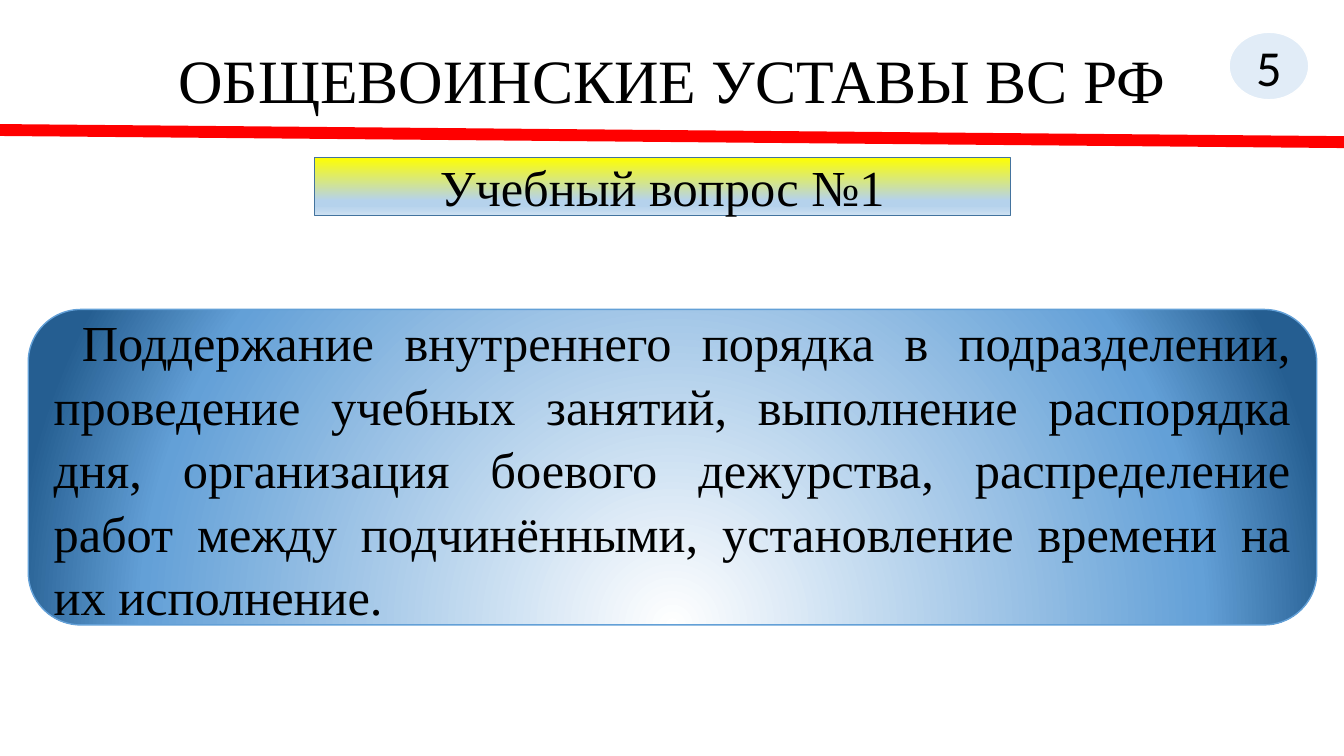
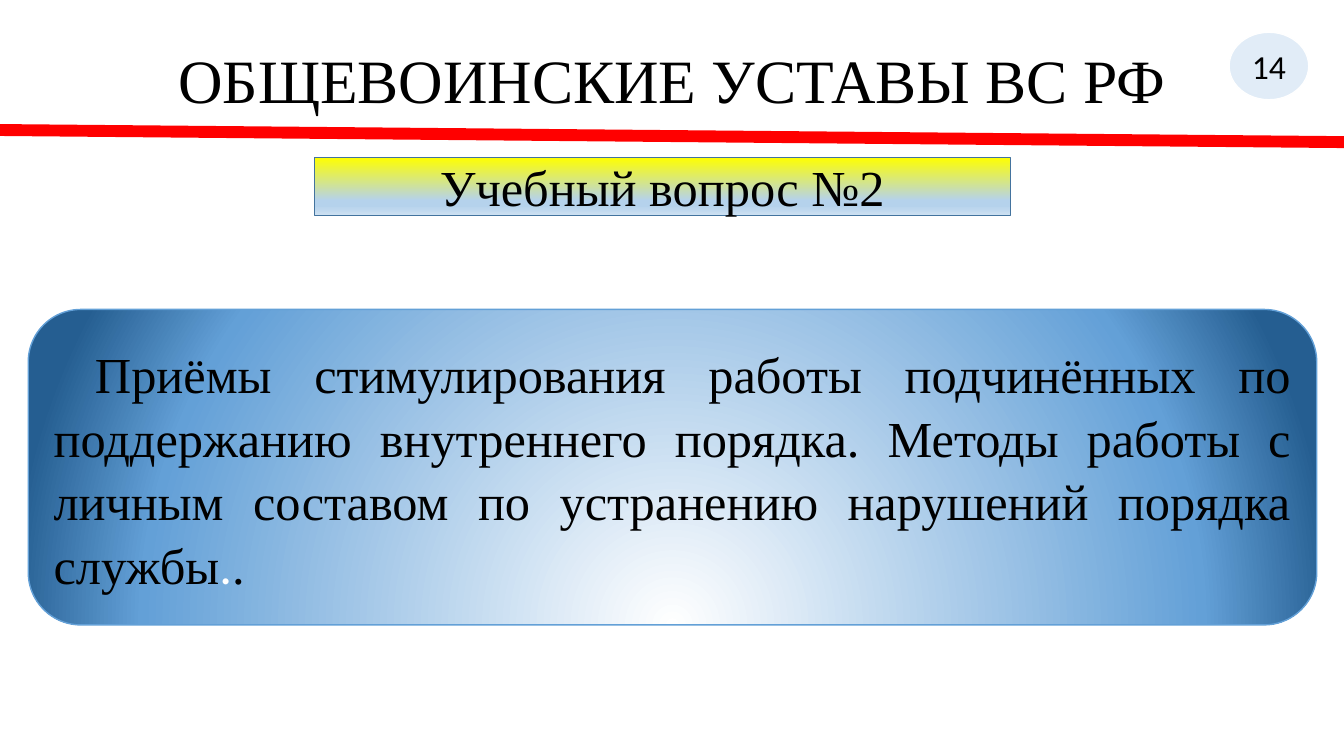
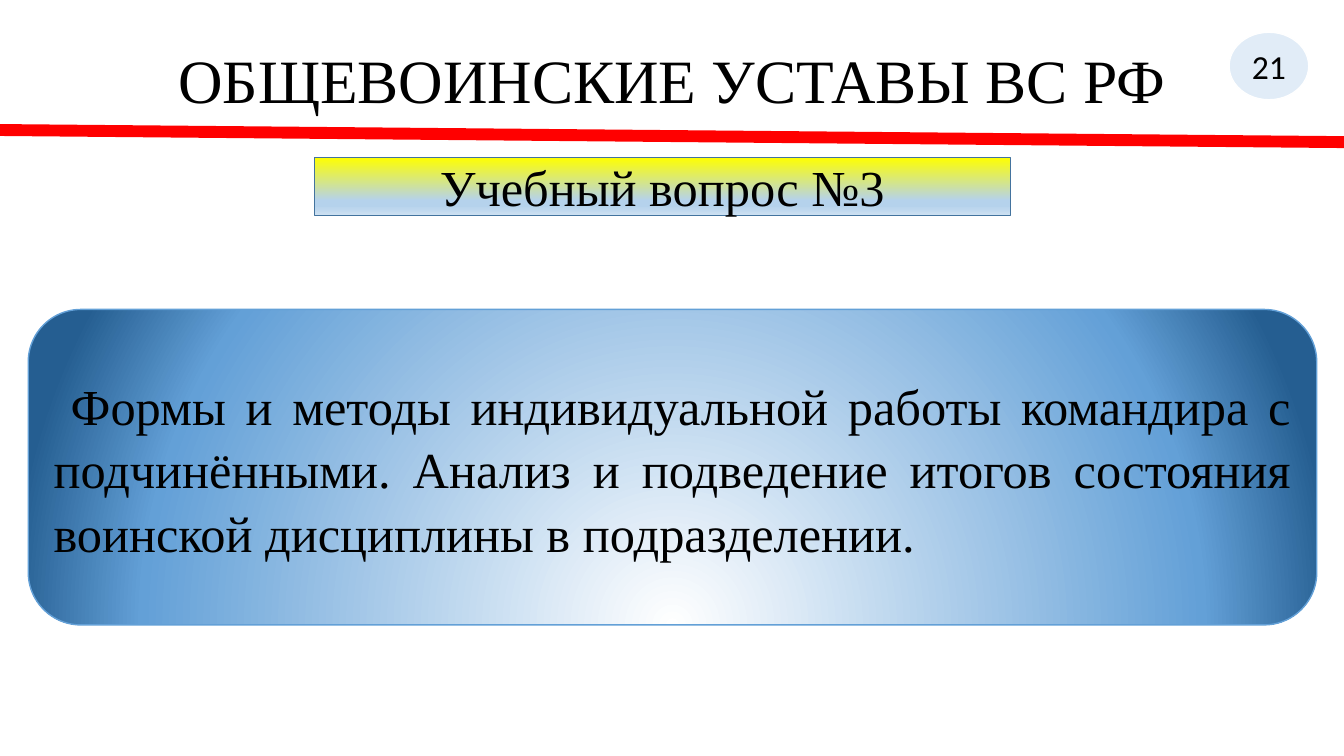
import pptx
import pptx.dml.color
import pptx.enum.shapes
import pptx.enum.text
import pptx.oxml
import pptx.oxml.ns
import pptx.util
from pptx.util import Inches

COLORS = {
    "ink": "000000",
    "white": "FFFFFF",
    "rule": "FF0000",
    "badge": "5B9BD5",
    "banner_top": "FFFF00",
    "banner_middle": "B5D2EC",
    "banner_bottom": "CEE1F2",
    "banner_edge": "43739E",
    "panel_middle": "63A0D7",
    "panel_outer": "255E91",
}
SERIF = "Times New Roman"
SANS = "Calibri"
SHAPES = pptx.enum.shapes.MSO_SHAPE
ALIGN = pptx.enum.text.PP_ALIGN
ANCHOR = pptx.enum.text.MSO_ANCHOR
HEADING = "ОБЩЕВОИНСКИЕ УСТАВЫ ВС РФ"
BANNER_STOPS = [(0, "banner_top"), (74, "banner_middle"), (83, "banner_middle"), (100, "banner_bottom")]
PANEL_STOPS = [(0, "white"), (80, "panel_middle"), (100, "panel_outer")]
LINEAR_DOWN = '<a:lin {} ang="5400000" scaled="0"/>'
CIRCLE_FROM_BELOW = '<a:path {} path="circle"><a:fillToRect l="50000" t="130000" r="50000" b="-30000"/></a:path>'

QUESTIONS = [
    {
        "page": "5", "page_size": 36, "indent": 0.28,
        "pieces": [("Поддержание внутреннего порядка в подразделении, проведение учебных занятий, "
                    "выполнение распорядка дня, организация боевого дежурства, распределение работ "
                    "между подчинёнными, установление времени на их исполнение.", SERIF, "ink")],
    },
    {
        "page": "14", "page_size": 24, "indent": 0.41,
        "pieces": [("Приёмы стимулирования работы подчинённых по поддержанию внутреннего порядка. "
                    "Методы работы с личным составом по устранению нарушений порядка службы", SERIF, "ink"),
                   (".", SANS, "white"),
                   (".", SERIF, "ink")],
    },
    {
        "page": "21", "page_size": 24, "indent": 0.17,
        "pieces": [("Формы и методы индивидуальной работы командира с подчинёнными. Анализ и "
                    "подведение итогов состояния воинской дисциплины в подразделении.", SERIF, "ink")],
    },
]


def rgb(name):
    return pptx.dml.color.RGBColor.from_string(COLORS[name])


def element(xml):
    return pptx.oxml.parse_xml(xml.format(pptx.oxml.ns.nsdecls("a")))


class Deck:
    def __init__(self):
        self.presentation = pptx.Presentation()
        self.presentation.slide_width = Inches(13.33)
        self.presentation.slide_height = Inches(7.5)
        self.slide = None

    def start_slide(self):
        self.slide = self.presentation.slides.add_slide(self.presentation.slide_layouts[5])

    def style_run(self, run, size, font=SERIF, color="ink"):
        run.font.size = pptx.util.Pt(size)
        run.font.name = font
        run.font.color.rgb = rgb(color)

    def title(self, text):
        heading = self.slide.shapes.title
        heading.left, heading.top = Inches(0.92), Inches(0.4)
        heading.width, heading.height = Inches(11.5), Inches(1.45)
        frame = heading.text_frame
        frame.text = text
        frame.word_wrap = True
        frame.auto_size = pptx.enum.text.MSO_AUTO_SIZE.NONE
        frame.vertical_anchor = ANCHOR.TOP
        frame.margin_top = Inches(0.1)
        paragraph = frame.paragraphs[0]
        paragraph.alignment = ALIGN.CENTER
        paragraph.line_spacing = 0.9
        self.style_run(paragraph.runs[0], 44)

    def rule(self):
        rule = self.slide.shapes.add_connector(
            pptx.enum.shapes.MSO_CONNECTOR.STRAIGHT,
            Inches(0), Inches(1.29), Inches(13.33), Inches(1.41))
        rule.line.color.rgb = rgb("rule")
        rule.line.width = pptx.util.Pt(8.5)
        rule._element.spPr.append(element("<a:effectLst {}/>"))

    def shape(self, kind, left, top, width, height, edge):
        shape = self.slide.shapes.add_shape(
            kind, Inches(left), Inches(top), Inches(width), Inches(height))
        shape.shadow.inherit = False
        shape.line.color.rgb = rgb(edge)
        shape.line.width = pptx.util.Pt(1)
        shape.text_frame.word_wrap = True
        shape.text_frame.vertical_anchor = ANCHOR.MIDDLE
        return shape

    def gradient(self, shape, stops, direction):
        shape.fill.gradient()
        gradient = shape._element.spPr.find(pptx.oxml.ns.qn("a:gradFill"))
        for child in list(gradient):
            gradient.remove(child)
        marks = "".join(
            f'<a:gs pos="{position * 1000}"><a:srgbClr val="{COLORS[name]}"/></a:gs>'
            for position, name in stops)
        gradient.append(element("<a:gsLst {}>" + marks + "</a:gsLst>"))
        gradient.append(element(direction))

    def label(self, shape, text, size, font):
        shape.text_frame.text = text
        paragraph = shape.text_frame.paragraphs[0]
        paragraph.alignment = ALIGN.CENTER
        self.style_run(paragraph.runs[0], size, font)

    def badge(self, page, size):
        badge = self.shape(SHAPES.OVAL, 12.19, 0.32, 0.79, 0.67, "white")
        badge.fill.solid()
        badge.fill.fore_color.rgb = rgb("badge")
        tint = badge._element.spPr.find(pptx.oxml.ns.qn("a:solidFill"))[0]
        tint.append(element('<a:alpha {} val="18000"/>'))
        self.label(badge, page, size, SANS)

    def banner(self, text):
        banner = self.shape(SHAPES.RECTANGLE, 3.12, 1.56, 6.9, 0.58, "banner_edge")
        self.gradient(banner, BANNER_STOPS, LINEAR_DOWN)
        self.label(banner, text, 36, SERIF)

    def panel(self, pieces, indent):
        panel = self.shape(SHAPES.ROUNDED_RECTANGLE, 0.28, 3.07, 12.78, 3.13, "panel_middle")
        self.gradient(panel, PANEL_STOPS, CIRCLE_FROM_BELOW)
        paragraph = panel.text_frame.paragraphs[0]
        paragraph.alignment = ALIGN.JUSTIFY
        paragraph.line_spacing = 1.05
        paragraph._p.get_or_add_pPr().set("indent", str(Inches(indent)))
        for text, font, color in pieces:
            run = paragraph.add_run()
            run.text = text
            self.style_run(run, 36, font, color)


def main():
    deck = Deck()
    for number, question in enumerate(QUESTIONS, 1):
        deck.start_slide()
        deck.title(HEADING)
        deck.rule()
        deck.badge(question["page"], question["page_size"])
        deck.banner(f"Учебный вопрос №{number}")
        deck.panel(question["pieces"], question["indent"])
    deck.presentation.save("out.pptx")


if __name__ == "__main__":
    main()
